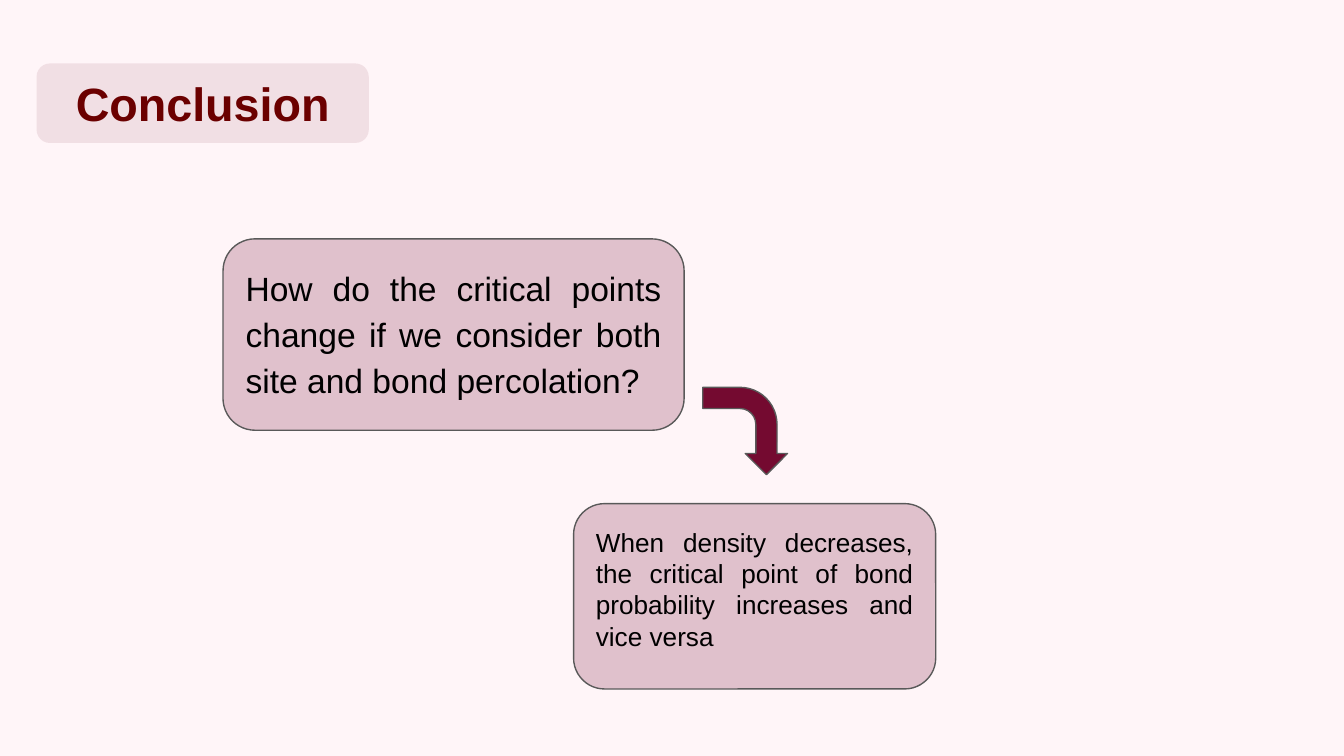
from lxml import etree
from pptx import Presentation
from pptx.dml.color import RGBColor
from pptx.enum.shapes import MSO_SHAPE
from pptx.enum.text import MSO_ANCHOR, PP_ALIGN
from pptx.oxml.ns import qn
from pptx.util import Pt

ROUNDED = MSO_SHAPE.ROUNDED_RECTANGLE
BENT_ARROW = MSO_SHAPE.BENT_ARROW
TOP, MIDDLE = MSO_ANCHOR.TOP, MSO_ANCHOR.MIDDLE
CENTER, JUSTIFY = PP_ALIGN.CENTER, PP_ALIGN.JUSTIFY

COLORS = {
    "background": "FFF5F8",
    "wine": "740A30",
    "rose": "E1C3CC",
    "outline": "595959",
    "title": "6B0000",
    "body": "000000",
}
CORNER = 0.167
INSET = Pt(7.2)


def color(name):
    return RGBColor.from_string(COLORS[name])


def set_format(target, values):
    for name, value in values.items():
        setattr(target, name, value)


def add_figure(slide, kind, frame, fill, adjustments, opacity=100, outlined=True):
    figure = slide.shapes.add_shape(kind, *map(Pt, frame))
    figure.shadow.inherit = False
    for index, value in enumerate(adjustments):
        figure.adjustments[index] = value
    figure.fill.solid()
    figure.fill.fore_color.rgb = color(fill)
    if opacity < 100:
        tint = figure.fill._xPr.find(qn("a:solidFill"))[0]
        etree.SubElement(tint, qn("a:alpha"), val=str(opacity * 1000))
    if outlined:
        figure.line.color.rgb = color("outline")
        figure.line.width = Pt(0.75)
    else:
        figure.line.fill.background()
    return figure


def write_text(figure, text, size, ink="body", bold=False,
               anchor=TOP, alignment=JUSTIFY, spacing=1.0):
    frame = figure.text_frame
    set_format(frame, {
        "word_wrap": True, "vertical_anchor": anchor,
        "margin_left": INSET, "margin_right": INSET,
        "margin_top": INSET, "margin_bottom": INSET,
    })
    paragraph = frame.paragraphs[0]
    set_format(paragraph, {"alignment": alignment, "line_spacing": spacing})
    run = paragraph.add_run()
    run.text = text
    set_format(run.font, {"name": "Arial", "size": Pt(size), "bold": bold})
    run.font.color.rgb = color(ink)


def add_card(slide, frame, text, size, spacing=1.0):
    card = add_figure(slide, ROUNDED, frame, "wine", [CORNER], opacity=22)
    write_text(card, text, size, spacing=spacing)


def add_turn_arrow(slide, frame):
    arrow = add_figure(slide, BENT_ARROW, frame, "wine", [0.25, 0.25, 0.25, 0.438])
    arrow.rotation = 90


def add_title(slide, frame, text):
    title = add_figure(slide, ROUNDED, frame, "rose", [CORNER],
                       opacity=44, outlined=False)
    write_text(title, text, 25, "title", True, MIDDLE, CENTER)


def main():
    deck = Presentation()
    set_format(deck, {"slide_width": Pt(720), "slide_height": Pt(405)})
    slide = deck.slides.add_slide(deck.slide_layouts[6])
    slide.background.fill.solid()
    slide.background.fill.fore_color.rgb = color("background")

    add_card(slide, (119.5, 128, 247, 102.5),
             "How do the critical points change if we consider both "
             "site and bond percolation?", 18, 1.15)
    add_turn_arrow(slide, (375.8, 208.2, 46.8, 45.4))
    add_card(slide, (307.3, 269.8, 194, 99.3),
             "When density decreases, the critical point of bond "
             "probability increases and vice versa", 14)
    add_title(slide, (19.6, 34, 178, 42.6), "Conclusion")
    deck.save("out.pptx")


if __name__ == "__main__":
    main()
